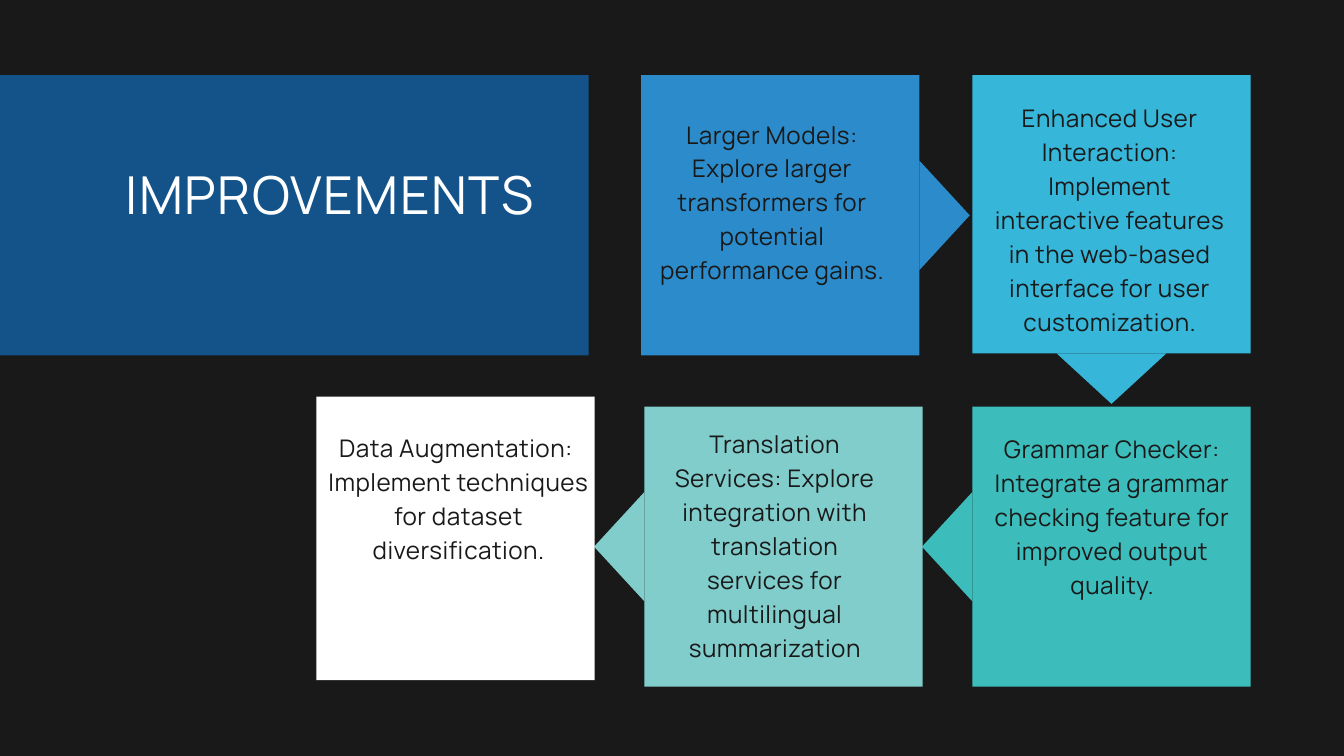
"""Build the Improvements slide: a title band and five cards linked by pointers."""
from pptx import Presentation, util as u
from pptx.dml.color import RGBColor
from pptx.enum import shapes, text

WIDE, HIGH = 20, 11.25
LEFT, TOP = 4.71, 1.12
COL, ROW = 4.88, 4.93
CARD_W, CARD_H = 4.14, 4.17
TIP, BASE = 0.75, 1.63
INK = "191919"

deck = Presentation()
deck.slide_width, deck.slide_height = u.Inches(WIDE), u.Inches(HIGH)
page = deck.slides.add_slide(deck.slide_layouts[5])
page.background.fill.solid()
page.background.fill.fore_color.rgb = RGBColor.from_string(INK)


def block(kind, x, y, w, h, hue, turn=0):
    """Draw a plain filled shape."""
    form = page.shapes.add_shape(kind, *map(u.Inches, (x, y, w, h)))
    form.fill.solid()
    form.fill.fore_color.rgb = RGBColor.from_string(hue)
    form.line.fill.background()
    form.shadow.inherit = False
    form.rotation = turn


def write(box, words, size=26, hue=INK, space=50):
    """Fill a box with centred text, one paragraph a line."""
    frame = box.text_frame
    frame.word_wrap = True
    frame.auto_size = text.MSO_AUTO_SIZE.NONE
    frame.vertical_anchor = text.MSO_ANCHOR.TOP
    frame.margin_left = frame.margin_right = frame.margin_top = frame.margin_bottom = 0
    frame.text = words
    for para in frame.paragraphs:
        para.alignment = text.PP_ALIGN.CENTER
        para.line_spacing = u.Pt(size * 1.4 if size < 30 else size * 1.3)
        for run in para.runs:
            run.font.name, run.font.size = "Manrope", u.Pt(size)
            run.font.color.rgb = RGBColor.from_string(hue)
            run._r.get_or_add_rPr().set("spc", str(space))


# column, row, height, colour, pointer (x, y, turn), text inset (x, y), text width, words
cards = [
    (0.99, 0, CARD_H, "2C8CCB", (1, 0, 90), (0.27, 0.59), 3.36,
     "Larger Models: Explore larger transformers for potential performance gains."),
    (2, 0, 4.14, "36B7DA", (0, 1, 180), (0.16, 0.34), 3.77,
     "Enhanced User Interaction: Implement interactive features in the web-based "
     "interface for user customization."),
    (2, 1, CARD_H, "3CBDBB", (-1, 0, 270), (0.22, 0.34), 3.72,
     "Grammar Checker: Integrate a grammar checking feature for improved output quality."),
    (1, 1, CARD_H, "80CDCC", (-1, 0, 270), (0.25, 0.27), 3.38,
     "Translation Services: Explore integration with translation services for "
     "multilingual summarization"),
    (0, 0.97, 4.22, "FFFFFF", None, (0, 0.47), 4.23,
     "Data Augmentation: \nImplement techniques for dataset diversification."),
]

for col, row, high, hue, point, inset, span, words in cards:
    x, y = LEFT + col * COL, TOP + row * ROW
    block(shapes.MSO_SHAPE.RECTANGLE, x, y, CARD_W, high, hue)
    if point:
        across, down, turn = point
        mid_x = x + CARD_W / 2 + across * (CARD_W + TIP) / 2
        mid_y = y + high / 2 + down * (high + TIP) / 2
        block(shapes.MSO_SHAPE.ISOSCELES_TRIANGLE,
              mid_x - BASE / 2, mid_y - TIP / 2, BASE, TIP, hue, turn)
    box = page.shapes.add_textbox(*map(u.Inches, (x + inset[0], y + inset[1], span, 3.5)))
    write(box, words)

block(shapes.MSO_SHAPE.RECTANGLE, 0, TOP, 8.76, CARD_H, "13538A")
title = page.shapes.title
title.left, title.top, title.width, title.height = map(u.Inches, (1.29, 2.34, 7.24, 1.02))
write(title, "IMPROVEMENTS", size=56, hue="FFFFFF", space=170)
page.shapes._spTree.append(title._element)

deck.save("out.pptx")
